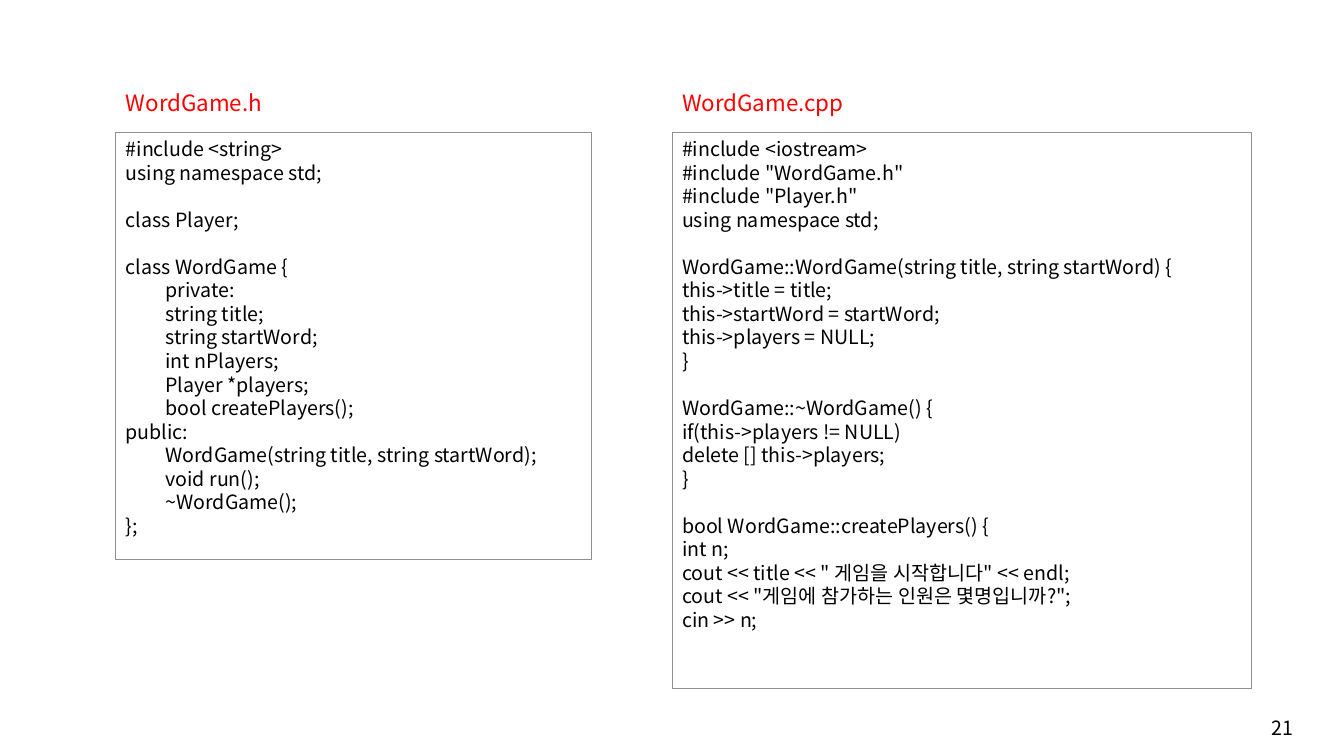
from dataclasses import dataclass

from lxml.etree import SubElement
from pptx import Presentation
from pptx.dml.color import RGBColor
from pptx.enum.shapes import MSO_SHAPE
from pptx.enum.text import MSO_ANCHOR, MSO_AUTO_SIZE, PP_ALIGN
from pptx.oxml.ns import qn
from pptx.shapes.autoshape import Shape
from pptx.slide import Slide
from pptx.util import Cm, Pt

BLACK = RGBColor(0x00, 0x00, 0x00)
WHITE = RGBColor(0xFF, 0xFF, 0xFF)
RED = RGBColor(0xFF, 0x00, 0x00)
BORDER = RGBColor(0x96, 0x8C, 0x8C)
FONT = "Noto Sans CJK KR"
CODE_SIZE = 14
HEADING_SIZE = 16
LEADING = 1.2
CODE_INDENT = Cm(1)
HEADING_TOP, HEADING_WIDTH, HEADING_HEIGHT = Cm(2.13), Cm(6.2), Cm(0.94)
CODE_TOP = Cm(3.33)

HEADER_CODE = """#include <string>
using namespace std;

class Player;

class WordGame {
\tprivate:
\tstring title;
\tstring startWord;
\tint nPlayers;
\tPlayer *players;
\tbool createPlayers();
public:
\tWordGame(string title, string startWord);
\tvoid run();
\t~WordGame();
};"""

SOURCE_CODE = """#include <iostream>
#include "WordGame.h"
#include "Player.h"
using namespace std;

WordGame::WordGame(string title, string startWord) {
this->title = title;
this->startWord = startWord;
this->players = NULL;
}

WordGame::~WordGame() {
if(this->players != NULL)
delete [] this->players;
}

bool WordGame::createPlayers() {
int n;
cout << title << " 게임을 시작합니다" << endl;
cout << "게임에 참가하는 인원은 몇명입니까?";
cin >> n;"""


@dataclass(frozen=True)
class CodeFile:
    name: str
    code: str
    left: Cm
    width: Cm
    height: Cm


HEADER_FILE = CodeFile("WordGame.h", HEADER_CODE, Cm(2.92), Cm(11.99), Cm(10.77))
SOURCE_FILE = CodeFile("WordGame.cpp", SOURCE_CODE, Cm(16.94), Cm(14.6), Cm(14.02))


def write(shape: Shape, text: str, size: int, color: RGBColor) -> None:
    frame = shape.text_frame
    frame.word_wrap = True
    frame.auto_size = MSO_AUTO_SIZE.NONE
    frame.vertical_anchor = MSO_ANCHOR.TOP
    lines = text.split("\n")
    frame.text = "\n".join(line.strip() for line in lines if line)
    after_gap = [not before for before, line in zip(["#"] + lines, lines) if line]
    indented = [line.startswith("\t") for line in lines if line]
    for paragraph, gap, indent in zip(frame.paragraphs, after_gap, indented):
        paragraph.alignment = PP_ALIGN.LEFT
        paragraph.line_spacing = Pt(size * LEADING)
        paragraph.space_before = Pt(size * LEADING if gap else 0)
        if indent:
            paragraph._p.get_or_add_pPr().set("indent", str(CODE_INDENT))
        for run in paragraph.runs:
            run.font.size = Pt(size)
            run.font.color.rgb = color
            run.font.name = FONT
            SubElement(run.font._element, qn("a:ea"), typeface=FONT)


def write_heading(heading: Shape, file: CodeFile) -> None:
    heading.left, heading.top = file.left, HEADING_TOP
    heading.width, heading.height = HEADING_WIDTH, HEADING_HEIGHT
    write(heading, file.name, HEADING_SIZE, RED)


def draw_code(slide: Slide, file: CodeFile) -> None:
    listing = slide.shapes.add_shape(
        MSO_SHAPE.RECTANGLE, file.left, CODE_TOP, file.width, file.height
    )
    listing.shadow.inherit = False
    listing.fill.solid()
    listing.fill.fore_color.rgb = WHITE
    listing.line.color.rgb = BORDER
    listing.line.width = Pt(0.5)
    write(listing, file.code, CODE_SIZE, BLACK)


def main() -> None:
    deck = Presentation()
    deck.slide_width, deck.slide_height = Cm(33.87), Cm(19.05)
    slide = deck.slides.add_slide(deck.slide_layouts.get_by_name("Title Only"))

    write_heading(slide.shapes.title, HEADER_FILE)
    source_heading = slide.shapes.add_textbox(
        SOURCE_FILE.left, HEADING_TOP, HEADING_WIDTH, HEADING_HEIGHT
    )
    write_heading(source_heading, SOURCE_FILE)
    for file in (HEADER_FILE, SOURCE_FILE):
        draw_code(slide, file)

    page_number = slide.shapes.add_textbox(Cm(31.8), Cm(17.91), Cm(1.8), Cm(0.86))
    write(page_number, "21", CODE_SIZE, BLACK)
    deck.save("out.pptx")


if __name__ == "__main__":
    main()
